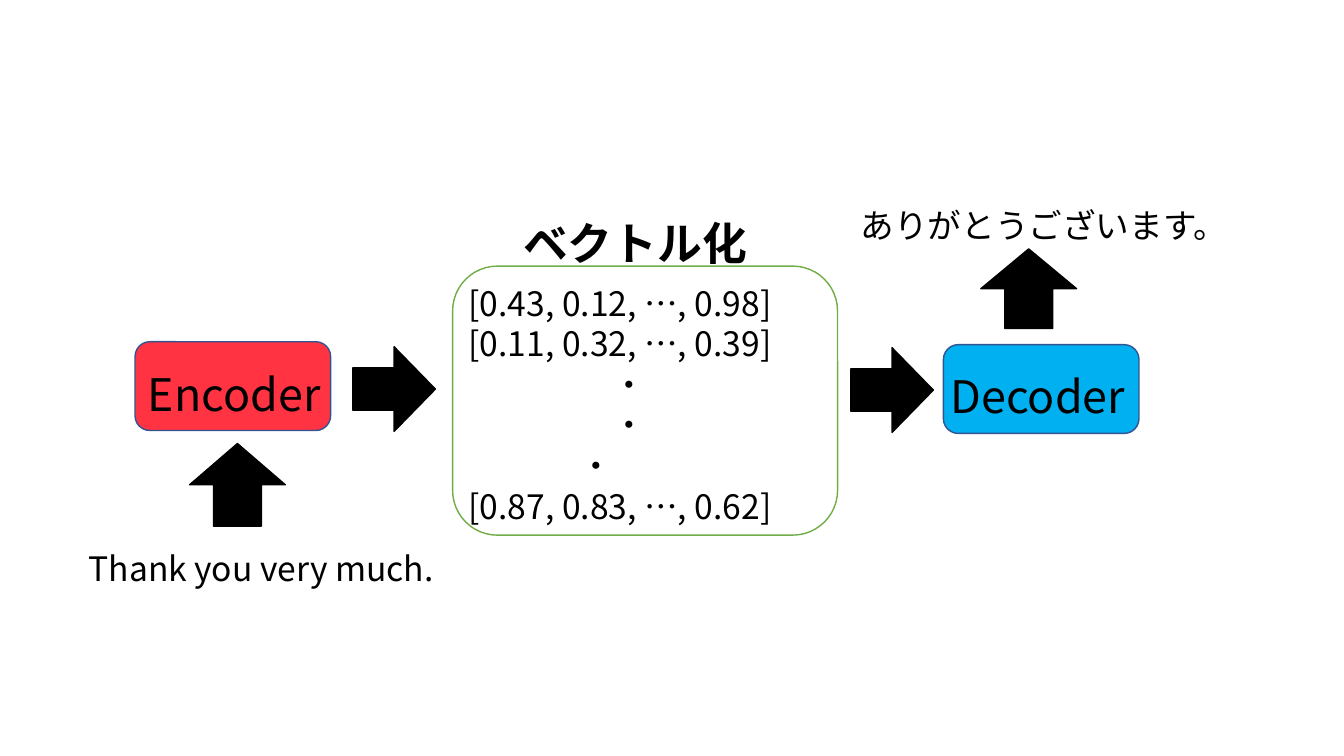
"""Build a slide on translation from encoder through vectors to decoder."""
from typing import NamedTuple

from pptx import Presentation
from pptx.dml.color import RGBColor
from pptx.enum.shapes import MSO_SHAPE
from pptx.enum.text import MSO_AUTO_SIZE, PP_ALIGN
from pptx.oxml.ns import qn
from pptx.util import Pt

ROUND = MSO_SHAPE.ROUNDED_RECTANGLE
RIGHT = MSO_SHAPE.RIGHT_ARROW
UP = MSO_SHAPE.UP_ARROW
GROW = MSO_AUTO_SIZE.SHAPE_TO_FIT_TEXT
LEFT = PP_ALIGN.LEFT

FONT = "Noto Sans CJK JP"
BLACK, WHITE, GREEN = "000000", "FFFFFF", "70AD47"
NAVY, RED, BLUE = "325491", "FF3342", "00B0F0"
PITCH = 1.21


class Box(NamedTuple):
    left: float
    top: float
    width: float
    height: float


class Form(NamedTuple):
    kind: MSO_SHAPE
    box: Box
    fill: str = BLACK
    line: str = BLACK


class Line(NamedTuple):
    text: str
    indent: float = 0


class Label(NamedTuple):
    lines: list[Line]
    box: Box
    size: float = 24
    bold: bool = False


FORMS = [
    Form(ROUND, Box(323.3, 190.1, 275, 192.2), WHITE, GREEN),
    Form(ROUND, Box(96.5, 244.1, 139.7, 63.4), RED, NAVY),
    Form(ROUND, Box(673.9, 246.2, 139.7, 63.4), BLUE, NAVY),
    Form(UP, Box(135.4, 316.8, 68.4, 59)),
    Form(UP, Box(700.6, 177.8, 68.4, 56.9)),
    Form(RIGHT, Box(252, 247.7, 59, 60.5)),
    Form(RIGHT, Box(607.7, 248.4, 59, 60.5)),
]
VECTORS = [
    Line("[0.43, 0.12, …, 0.98]"),
    Line("[0.11, 0.32, …, 0.39]"),
    Line("・", 103),
    Line("・", 103),
    Line("・", 79),
    Line("[0.87, 0.83, …, 0.62]"),
]
LABELS = [
    Label([Line("Thank you very much.")], Box(56.2, 387.4, 280.8, 36)),
    Label([Line("ありがとうございます。")], Box(607.7, 142.6, 280.8, 36)),
    Label([Line("Encoder")], Box(98.6, 257.8, 141.8, 46.1), 32),
    Label([Line("Decoder")], Box(671.8, 259.2, 144.7, 46.1), 32),
    Label(VECTORS, Box(327.6, 198, 270.7, 181.4)),
    Label([Line("ベクトル化")], Box(366.5, 149.8, 176.4, 46.1), 32, True),
]


def paint(code: str) -> RGBColor:
    """Turn a hex string into a colour."""
    return RGBColor.from_string(code)


def place(box: Box) -> list[Pt]:
    """Give the sides of a box as lengths."""
    return [Pt(side) for side in box]


def draw(slide, form: Form) -> None:
    """Draw one preset shape."""
    shape = slide.shapes.add_shape(form.kind, *place(form.box))
    shape.shadow.inherit = False
    shape.fill.solid()
    shape.fill.fore_color.rgb = paint(form.fill)
    shape.line.color.rgb = paint(form.line)
    shape.line.width = Pt(1)


def write(para, text: str, *, size: float, bold: bool = False,
          color: str = BLACK, indent: float = 0) -> None:
    """Write one formatted line into a paragraph."""
    para.alignment = LEFT
    para.line_spacing = Pt(round(size * PITCH))
    if indent:
        para._p.get_or_add_pPr().set("marL", str(Pt(indent)))
    run = para.add_run()
    run.text = text
    font = run.font
    font.name, font.size, font.bold = FONT, Pt(size), bold
    font.color.rgb = paint(color)
    east = run._r.get_or_add_rPr().makeelement(qn("a:ea"), {"typeface": FONT})
    run._r.rPr.find(qn("a:latin")).addnext(east)


def tag(slide, label: Label) -> None:
    """Add one text box with its lines."""
    frame = slide.shapes.add_textbox(*place(label.box)).text_frame
    frame.word_wrap = False
    frame.auto_size = GROW
    for spot, line in enumerate(label.lines):
        para = frame.add_paragraph() if spot else frame.paragraphs[0]
        write(para, line.text, size=label.size, bold=label.bold,
              indent=line.indent)


def main() -> None:
    """Build and save the slide."""
    deck = Presentation()
    deck.slide_width, deck.slide_height = Pt(960), Pt(540)
    slide = deck.slides.add_slide(deck.slide_layouts[6])
    for form in FORMS:
        draw(slide, form)
    for label in LABELS:
        tag(slide, label)
    deck.save("out.pptx")


main()
